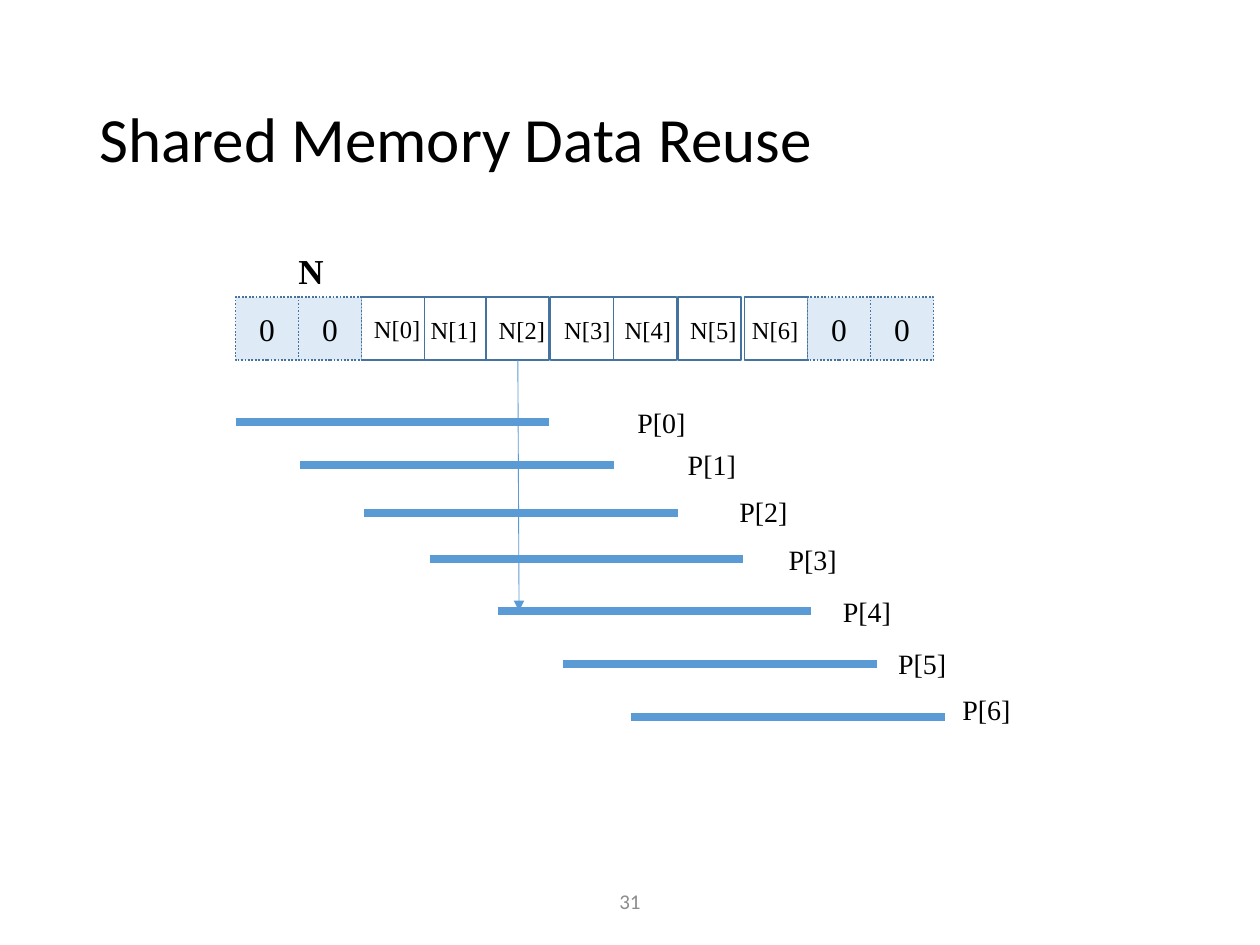
from lxml.etree import SubElement
from pptx import Presentation
from pptx.dml.color import RGBColor
from pptx.enum.dml import MSO_LINE
from pptx.enum.shapes import MSO_CONNECTOR, MSO_SHAPE
from pptx.enum.text import MSO_ANCHOR as ANCHOR, PP_ALIGN as ALIGN
from pptx.oxml.ns import qn
from pptx.util import Inches, Pt

BLACK = RGBColor(0x00, 0x00, 0x00)
GREY = RGBColor(0x8C, 0x8C, 0x8C)
WHITE = RGBColor(0xFF, 0xFF, 0xFF)
PALE_BLUE = RGBColor(0xDE, 0xEB, 0xF7)
BLUE = RGBColor(0x5B, 0x9B, 0xD5)
DARK_BLUE = RGBColor(0x43, 0x73, 0x9E)

# Content
TITLE = "Shared Memory Data Reuse"
PAGE = "31"
ARRAY = "N"
# Input elements: cell left, label left, label top
ELEMENTS = [
    (2.87, 2.87, 2.44), (3.37, 3.32, 2.45), (3.86, 3.86, 2.45),
    (4.37, 4.38, 2.45), (4.87, 4.86, 2.45), (5.38, 5.38, 2.45),
    (5.91, 5.87, 2.45),
]
GHOST_LEFTS = [1.87, 2.37, 6.41, 6.91]
# Output elements: span left, span height on the slide, label left, label top
OUTPUTS = [
    (1.87, 3.35, 4.96, 3.17), (2.38, 3.69, 5.36, 3.50),
    (2.89, 4.07, 5.77, 3.88), (3.41, 4.44, 6.16, 4.26),
    (3.95, 4.85, 6.59, 4.67), (4.47, 5.27, 7.03, 5.08),
    (5.01, 5.69, 7.54, 5.45),
]
REUSED = 2  # index of the element the arrow follows
CELL, CELL_TOP, SPAN = 0.5, 2.36, 2.49
SERIF = "Times New Roman"

# Text formats
HEADING = dict(size=Pt(36), name="Calibri")
NUMBER = dict(size=Pt(12), name="Calibri")
ARRAY_NAME = dict(size=Pt(20), name=SERIF, bold=True)
ELEMENT = dict(size=Pt(14), name=SERIF)
OUTPUT = dict(size=Pt(16), name=SERIF)
GHOST = dict(size=Pt(18), name=SERIF)

prs = Presentation()
prs.slide_width, prs.slide_height = Inches(10), Inches(7.5)
slide = prs.slides.add_slide(prs.slide_layouts[5])
shapes = slide.shapes


def write(shape, text, formats, color=BLACK, align=ALIGN.LEFT, anchor=ANCHOR.MIDDLE):
    frame = shape.text_frame
    frame.vertical_anchor = anchor
    paragraph = frame.paragraphs[0]
    paragraph.alignment = align
    run = paragraph.add_run()
    run.text = text
    for key, value in formats.items():
        setattr(run.font, key, value)
    run.font.color.rgb = color
    return paragraph


def add_label(left, top, width, height, text, formats):
    box = shapes.add_textbox(*map(Inches, (left, top, width, height)))
    box.text_frame.word_wrap = False
    write(box, text, formats, anchor=ANCHOR.TOP)


def add_cell(left, fill):
    cell = shapes.add_shape(MSO_SHAPE.RECTANGLE,
                            *map(Inches, (left, CELL_TOP, CELL, CELL)))
    cell.shadow.inherit = False
    cell.fill.solid()
    cell.fill.fore_color.rgb = fill
    cell.line.color.rgb = DARK_BLUE
    cell.line.width = Pt(1)
    return cell


def add_line(x1, y1, x2, y2, width):
    line = shapes.add_connector(MSO_CONNECTOR.STRAIGHT,
                                *map(Inches, (x1, y1, x2, y2)))
    line.line.color.rgb = BLUE
    line.line.width = Pt(width)
    SubElement(line._element.spPr, qn("a:effectLst"))
    return line


# Title
title = shapes.title
title.left, title.top, title.width, title.height = map(Inches, (0.69, 0.4, 8.62, 1.45))
write(title, TITLE, HEADING).line_spacing = 0.9

# Input array: cells, labels, then the padding cells
add_label(2.27, 1.93, 0.41, 0.44, ARRAY, ARRAY_NAME)
cells = [add_cell(left, WHITE) for left, _, _ in ELEMENTS]
for i, (_, left, top) in enumerate(ELEMENTS):
    add_label(left, top, 0.57, 0.34, f"{ARRAY}[{i}]", ELEMENT)
for left in GHOST_LEFTS:
    ghost = add_cell(left, PALE_BLUE)
    ghost.line.dash_style = MSO_LINE.ROUND_DOT
    write(ghost, "0", GHOST, align=ALIGN.CENTER)

# Span of inputs read by each output
for i, (left, y, label_left, label_top) in enumerate(OUTPUTS):
    add_line(left, y, left + SPAN, y, 4.5)
    add_label(label_left, label_top, 0.59, 0.37, f"P[{i}]", OUTPUT)

# Page number
page = shapes.add_textbox(*map(Inches, (3.31, 6.95, 3.38, 0.4)))
page.text_frame.word_wrap = True
write(page, PAGE, NUMBER, GREY, ALIGN.CENTER)

# Arrow from the reused element down through the spans
arrow = add_line(4.11, CELL_TOP + CELL, 4.12, 4.85, 0.5)
arrow.begin_connect(cells[REUSED], 2)
SubElement(arrow.line._get_or_add_ln(), qn("a:tailEnd"), type="triangle")

prs.save("out.pptx")
